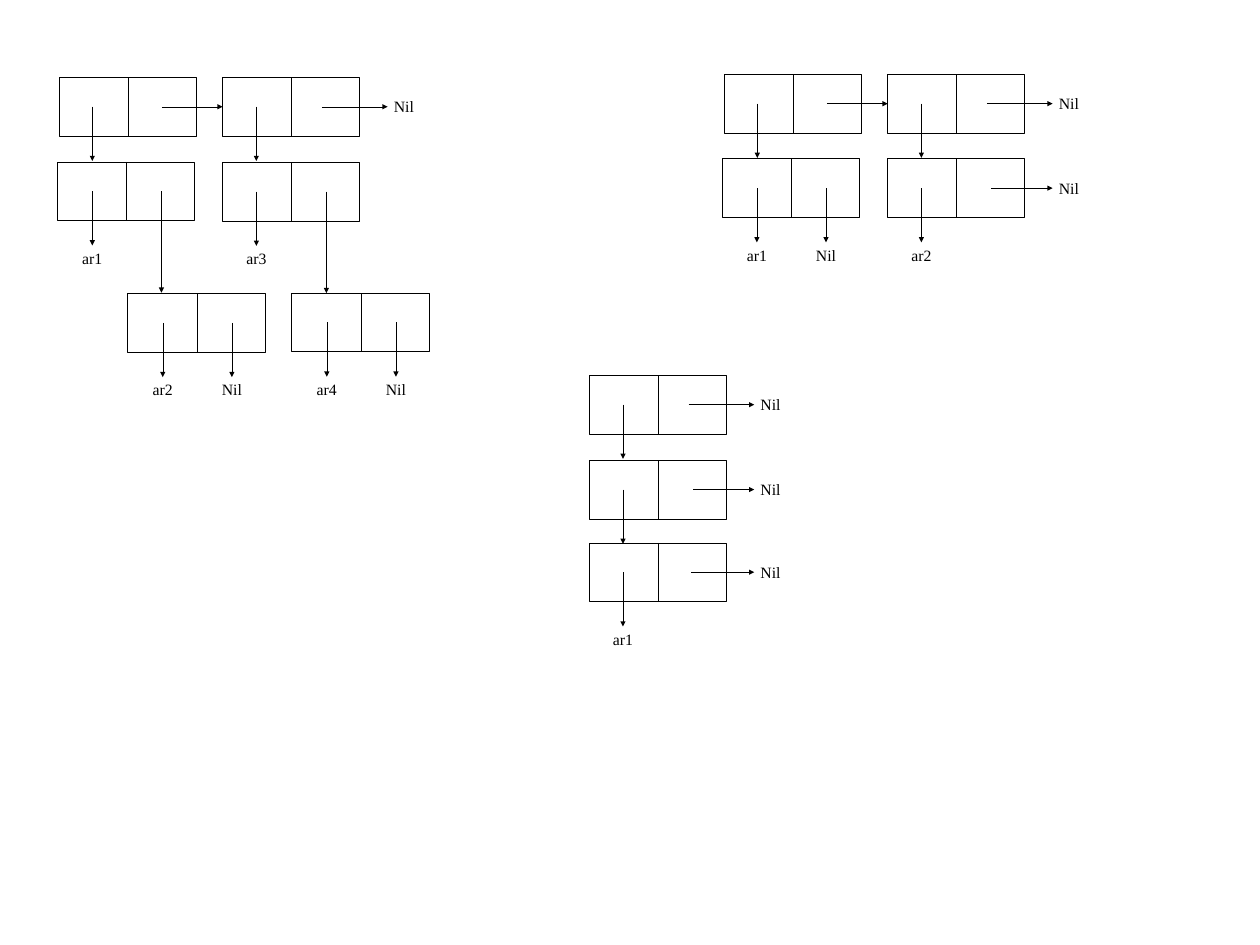
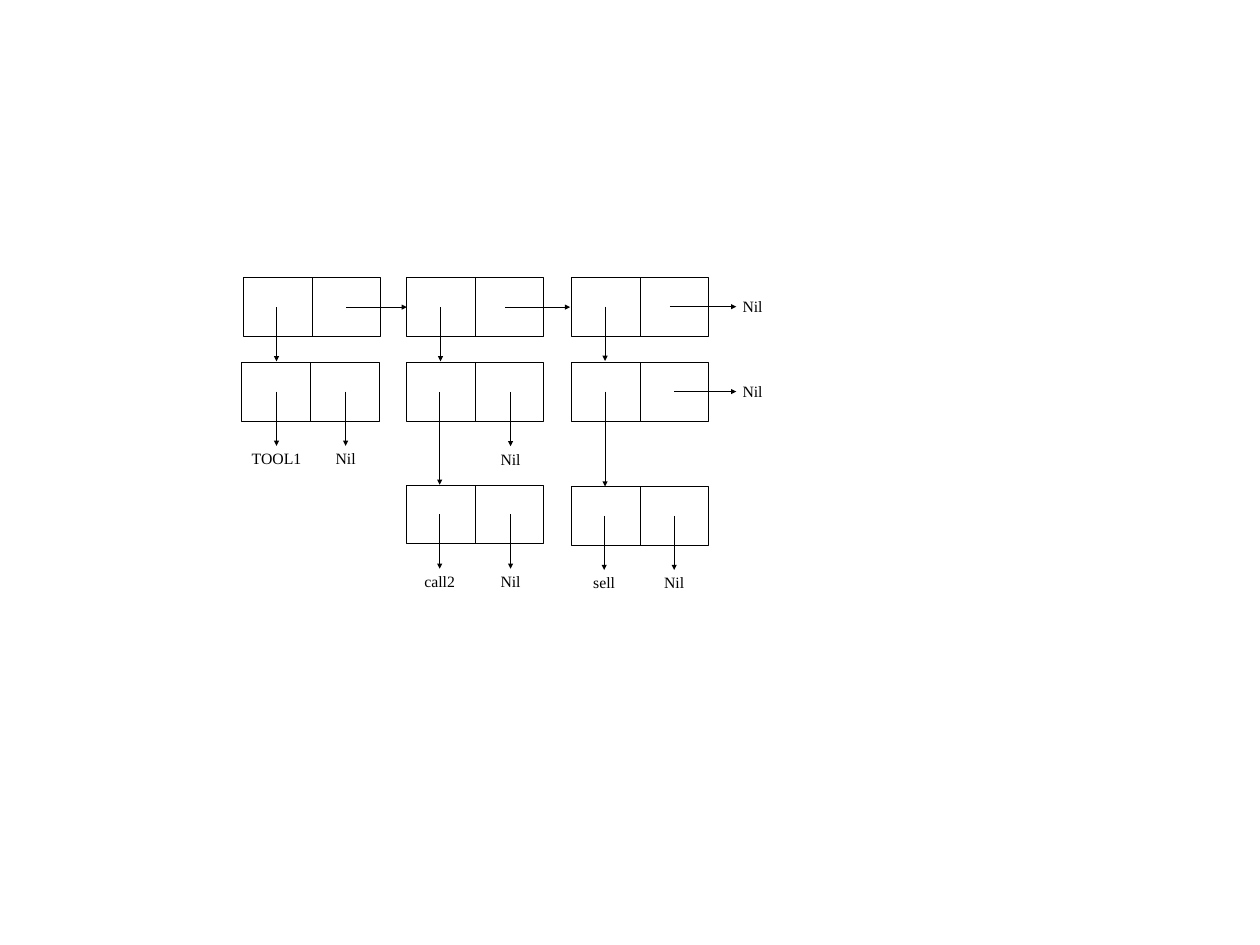
from dataclasses import dataclass

import pptx
import pptx.dml.color
import pptx.enum.shapes
import pptx.enum.text
import pptx.oxml.ns
import pptx.shapes.connector
import pptx.slide
import pptx.util
from lxml import etree

Pt = pptx.util.Pt

INK = "000000"
FONT = "Times New Roman"
FONT_SIZE = 18
OUTLINE, THIN = 0.75, 0.5
CELL_W, CELL_H = 157, 67
DIVIDER_X = 79
NEXT_X = 187  # where an arrow to the right meets the following cell
DOWN = 62  # usual arrow length downwards
LABEL_H = 29
BELOW_W, BESIDE_W = 72, 43


@dataclass(frozen=True)
class Link:
    """Arrow leaving a cell half; dx is its start measured from the cell's left."""
    dx: float
    label: str = ""
    length: float = DOWN
    right: bool = False


@dataclass(frozen=True)
class Cell:
    x: float
    y: float
    head: Link
    tail: Link


def head(label: str = "", dx: float = 39, length: float = DOWN) -> Link:
    return Link(dx, label, length)


def tail(label: str = "", dx: float = 119, length: float = DOWN) -> Link:
    return Link(dx, label, length)


def across(label: str = "", dx: float = 114) -> Link:
    end = NEXT_X + 2 if label else NEXT_X
    return Link(dx, label, end - dx, right=True)


FOUR_ITEMS = [
    Cell(67.5, 88.5, head(dx=38), across(dx=117.5)),
    Cell(254, 88.5, head(), across("Nil")),
    Cell(65.5, 185, head("ar1", 40), tail(length=116)),
    Cell(254, 185.5, head("ar3"), tail(length=116)),
    Cell(146, 335.5, head("ar2", 40), tail("Nil")),
    Cell(333.5, 335, head("ar4", 40), tail("Nil")),
]
TWO_ITEMS = [
    Cell(827.5, 85, head(dx=38), across(dx=117.5)),
    Cell(1014, 85, head(), across("Nil")),
    Cell(825, 181.5, head("ar1", 40), tail("Nil")),
    Cell(1014, 181.5, head("ar2"), across("Nil", 119)),
]
ONE_ITEM = [
    Cell(673, 429, head(), across("Nil")),
    Cell(673, 526, head(), across("Nil", 119)),
    Cell(673, 620.5, head("ar1"), across("Nil", 117)),
]
CALLS = [
    Cell(278, 317.5, head(dx=38), across(dx=117.5)),
    Cell(464.5, 317.5, head(), across(dx=113)),
    Cell(652.5, 317, head(), across("Nil", 113)),
    Cell(276, 414, head("TOOL1", 40), tail("Nil")),
    Cell(464.5, 414.5, head(dx=38, length=106), tail("Nil")),
    Cell(652.5, 414, head(length=108.5), across("Nil", 118)),
    Cell(464.5, 554.5, head("call2", 38), tail("Nil")),
    Cell(652.5, 556, head("sell", 38), tail("Nil", 118)),
]
SLIDES = [FOUR_ITEMS + TWO_ITEMS + ONE_ITEM, CALLS]


def color(value: str) -> pptx.dml.color.RGBColor:
    return pptx.dml.color.RGBColor.from_string(value)


def add_line(s: pptx.slide.Slide, x1: float, y1: float, x2: float, y2: float,
             arrow: bool = False) -> pptx.shapes.connector.Connector:
    c = s.shapes.add_connector(pptx.enum.shapes.MSO_CONNECTOR.STRAIGHT,
                               Pt(x1), Pt(y1), Pt(x2), Pt(y2))
    c.line.color.rgb = color(INK)
    c.line.width = Pt(THIN)
    qn = pptx.oxml.ns.qn
    sp_pr = c.line._get_or_add_ln().getparent()
    if arrow:
        etree.SubElement(sp_pr.find(qn("a:ln")), qn("a:tailEnd"), type="triangle")
    etree.SubElement(sp_pr, qn("a:effectLst"))
    return c


def add_label(s: pptx.slide.Slide, text: str, x: float, y: float, right: bool) -> None:
    """Place text beside the arrow tip (x, y), or centred below it."""
    if right:
        left, top, width = x, y - LABEL_H / 2, BESIDE_W
        align = pptx.enum.text.PP_ALIGN.LEFT
    else:
        left, top, width = x - BELOW_W / 2, y, BELOW_W
        align = pptx.enum.text.PP_ALIGN.CENTER
    tf = s.shapes.add_textbox(Pt(left), Pt(top), Pt(width), Pt(LABEL_H)).text_frame
    tf.word_wrap = True
    tf.auto_size = pptx.enum.text.MSO_AUTO_SIZE.SHAPE_TO_FIT_TEXT
    p = tf.paragraphs[0]
    p.text = text
    p.alignment = align
    r = p.runs[0]
    r.font.name = FONT
    r.font.size = Pt(FONT_SIZE)
    r.font.color.rgb = color(INK)


def add_link(s: pptx.slide.Slide, cell: Cell, link: Link) -> None:
    x, y = cell.x + link.dx, cell.y + CELL_H / 2
    end_x = x + link.length if link.right else x
    end_y = y if link.right else y + link.length
    add_line(s, x, y, end_x, end_y, arrow=True)
    if link.label:
        add_label(s, link.label, end_x, end_y, link.right)


def add_cell(s: pptx.slide.Slide, cell: Cell) -> None:
    sp = s.shapes.add_shape(pptx.enum.shapes.MSO_SHAPE.RECTANGLE,
                            Pt(cell.x), Pt(cell.y), Pt(CELL_W), Pt(CELL_H))
    sp.shadow.inherit = False
    sp.fill.background()
    sp.line.color.rgb = color(INK)
    sp.line.width = Pt(OUTLINE)
    divider = cell.x + DIVIDER_X
    add_line(s, divider, cell.y, divider, cell.y + CELL_H)
    for link in (cell.head, cell.tail):
        add_link(s, cell, link)


def main() -> None:
    prs = pptx.Presentation()
    prs.slide_width, prs.slide_height = Pt(1440), Pt(1080)
    for cells in SLIDES:
        s = prs.slides.add_slide(prs.slide_layouts[6])
        for cell in cells:
            add_cell(s, cell)
    prs.save("out.pptx")


if __name__ == "__main__":
    main()
